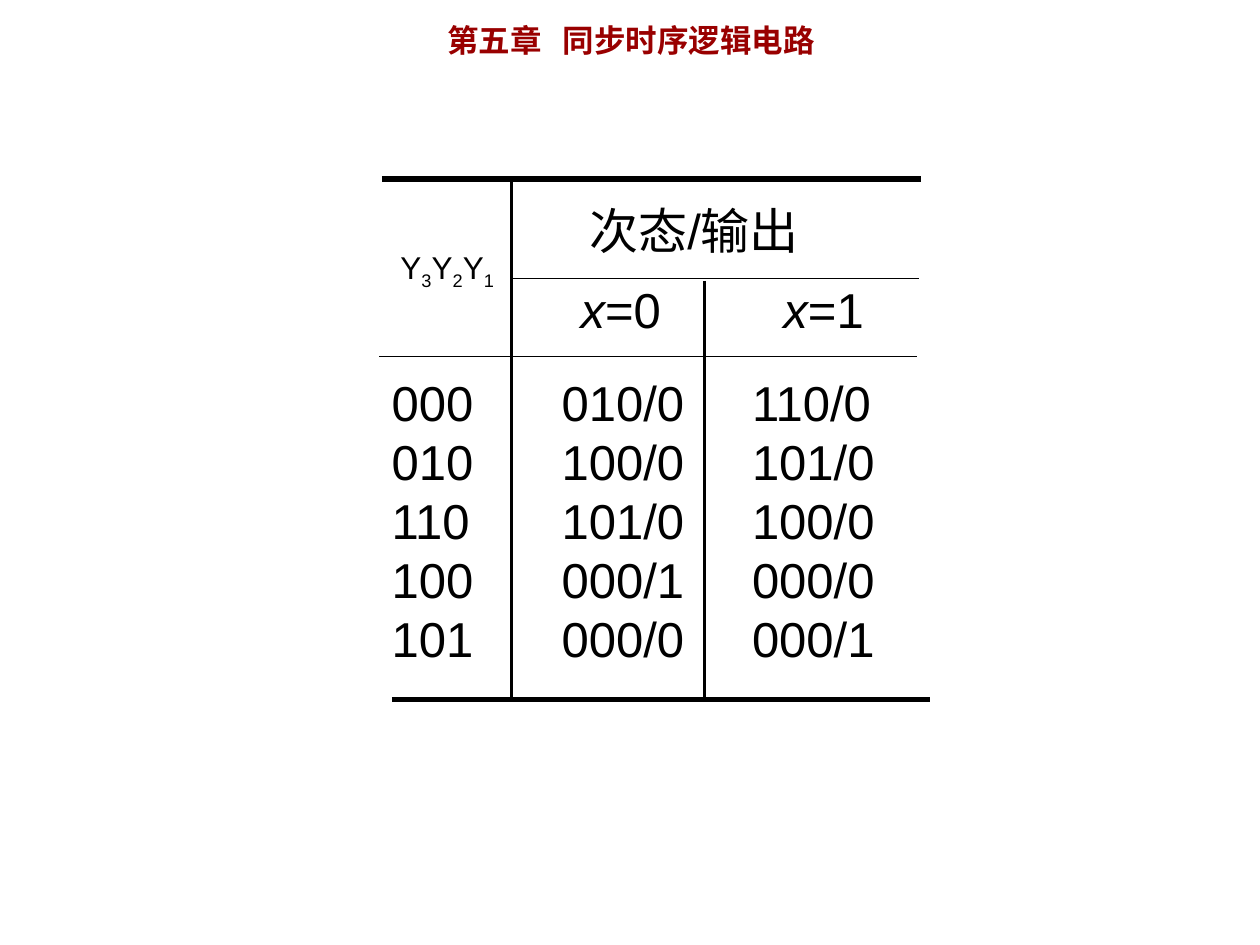
from dataclasses import dataclass

from lxml import etree
from pptx import Presentation
from pptx.dml.color import RGBColor
from pptx.enum import shapes, text
from pptx.oxml import ns
from pptx.util import Inches, Pt


@dataclass(frozen=True)
class Theme:
    ink: RGBColor = RGBColor(0, 0, 0)
    heading: RGBColor = RGBColor(0x99, 0, 0)
    latin: str = "Arial"
    asian: str = "Noto Sans CJK JP"
    small: int = 18
    large: int = 28


theme = Theme()


def add_span(para, words, format_values, **extras):
    span = para.add_run()
    span.text = words
    span.font.color.rgb = format_values["color"]
    for name in ("name", "size", "bold", "italic"):
        if name in format_values:
            setattr(span.font, name, format_values[name])
    properties = span.font._element
    etree.SubElement(properties, ns.qn("a:ea")).set("typeface", theme.asian)
    for name, value in extras.items():
        properties.set(name, str(value))


def format_frame(frame, wrap):
    settings = {
        "word_wrap": wrap,
        "auto_size": text.MSO_AUTO_SIZE.NONE,
        "vertical_anchor": text.MSO_ANCHOR.TOP,
        "margin_left": Inches(0.1),
        "margin_right": Inches(0.1),
        "margin_top": Inches(0.05),
        "margin_bottom": Inches(0.05),
    }
    for name, value in settings.items():
        setattr(frame, name, value)


title_format = {
    "name": theme.asian, "size": Pt(theme.small),
    "color": theme.heading, "bold": True,
}
label_format = {"name": theme.latin, "size": Pt(theme.small), "color": theme.ink}
cell_format = {**label_format, "size": Pt(theme.large)}
variable_format = {**cell_format, "italic": True}

deck = Presentation()
deck.slide_width, deck.slide_height = Inches(10), Inches(7.5)
page = deck.slides.add_slide(deck.slide_layouts[5])

title = page.shapes.title
title.left, title.top = Inches(3.45), Inches(0.12)
title.width, title.height = Inches(3.68), Inches(0.4)
format_frame(title.text_frame, True)
para = title.text_frame.paragraphs[0]
para.alignment = text.PP_ALIGN.LEFT
add_span(para, "第五章", title_format)
add_span(para, " ", title_format, spc=800)
add_span(para, "同步时序逻辑电路", title_format)

rules = [
    (3.03, 1.42, 7.31, 1.42, 3),
    (3.11, 5.55, 7.38, 5.55, 3),
    (4.06, 1.42, 4.06, 5.56, 1.5),
    (5.59, 2.23, 5.59, 5.57, 1.5),
    (4.06, 2.21, 7.29, 2.21, 1),
    (3.01, 2.83, 7.28, 2.83, 1),
]
for *ends, weight in rules:
    rule = page.shapes.add_connector(
        shapes.MSO_CONNECTOR.STRAIGHT, *(Inches(value) for value in ends))
    rule.line.color.rgb = theme.ink
    rule.line.width = Pt(weight)
    etree.SubElement(rule._element.spPr, ns.qn("a:effectLst"))

state_label = []
for index in "321":
    state_label += [("Y", label_format, {}),
                    (index, label_format, {"baseline": -25000})]

blocks = [
    (3.08, 1.92, 0.94, 0.44, False, [state_label]),
    (4.58, 1.54, 2.05, 0.57, False, [[("次态/输出", cell_format, {})]]),
]
for left, value in ((4.51, "=0"), (6.12, "=1")):
    heading = [("x", variable_format, {}), (value, cell_format, {})]
    blocks.append((left, 2.17, 0.83, 0.57, False, [heading]))

columns = [
    (3.01, 0.85, False, ["000", "010", "110", "100", "101"]),
    (4.36, 1.18, True, ["010/0", "100/0", "101/0", "000/1", "000/0"]),
    (5.87, 1.35, True, ["110/0", "101/0", "100/0", "000/0", "000/1"]),
]
for left, width, wrap, values in columns:
    lines = [[(value, cell_format, {})] for value in values]
    blocks.append((left, 2.91, width, 2.44, wrap, lines))

for left, top, width, height, wrap, lines in blocks:
    box = page.shapes.add_textbox(
        Inches(left), Inches(top), Inches(width), Inches(height))
    format_frame(box.text_frame, wrap)
    for number, line in enumerate(lines):
        para = (box.text_frame.add_paragraph() if number
                else box.text_frame.paragraphs[0])
        for words, format_values, extras in line:
            add_span(para, words, format_values, **extras)

deck.save("out.pptx")
